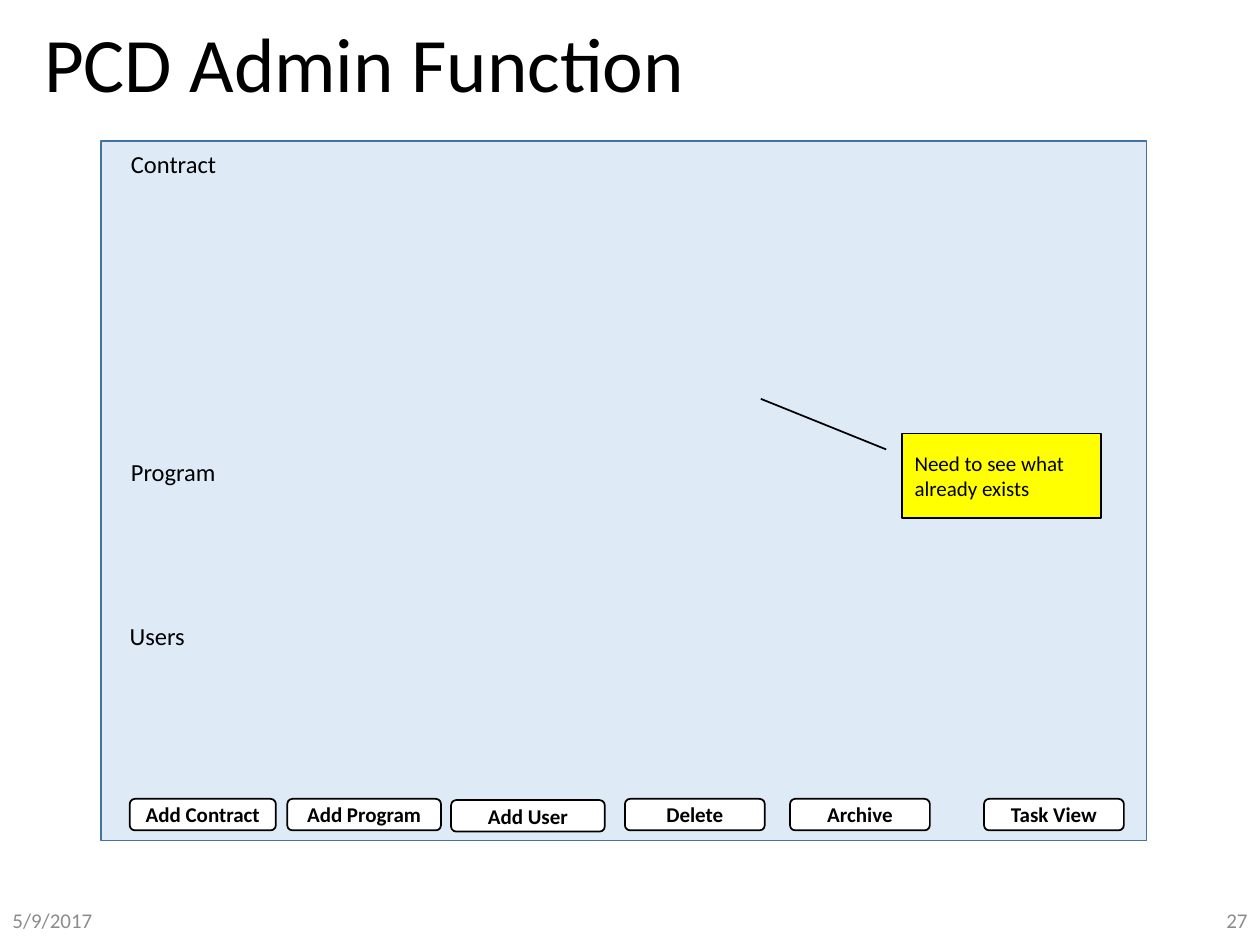
from pptx import Presentation
from pptx.dml.color import RGBColor
from pptx.enum.shapes import MSO_SHAPE as Preset
from pptx.enum.text import MSO_ANCHOR as Anchor, MSO_AUTO_SIZE as AutoSize, PP_ALIGN as Align
from pptx.util import Inches, Pt

BLACK = RGBColor(0x00, 0x00, 0x00)
WHITE = RGBColor(0xFF, 0xFF, 0xFF)
GREY = RGBColor(0x8C, 0x8C, 0x8C)
PALE_BLUE = RGBColor(0xDE, 0xEB, 0xF7)
STEEL_BLUE = RGBColor(0x43, 0x73, 0x9E)
YELLOW = RGBColor(0xFF, 0xFF, 0x00)

COLUMNS, ROWS = 100, 75


class AdminScreen:
    """Style and current slide, measured on a grid of COLUMNS by ROWS."""

    font_name = "Calibri"

    def __init__(self, deck):
        """Add a title-only slide to the deck."""
        self.cell_width = deck.slide_width / COLUMNS
        self.cell_height = deck.slide_height / ROWS
        self.slide = deck.slides.add_slide(deck.slide_layouts[5])

    def place(self, column, row, columns, rows):
        """Turn grid cells into left, top, width and height."""
        return (round(column * self.cell_width), round(row * self.cell_height),
                round(columns * self.cell_width), round(rows * self.cell_height))

    def set_text(self, holder, text, size, color=BLACK, align=Align.LEFT,
                 anchor=Anchor.MIDDLE, bold=False):
        """Put one formatted paragraph into a holder and return it."""
        frame = holder.text_frame
        frame.text = text
        frame.word_wrap = True
        frame.auto_size = AutoSize.NONE
        frame.vertical_anchor = anchor
        paragraph = frame.paragraphs[0]
        paragraph.alignment = align
        font = paragraph.font
        font.name, font.size, font.bold = self.font_name, Pt(size), bold
        font.color.rgb = color
        return paragraph

    def title(self, text, *cells):
        """Move and format the title placeholder."""
        heading = self.slide.shapes.title
        heading.left, heading.top, heading.width, heading.height = self.place(*cells)
        self.set_text(heading, text, 44).line_spacing = 0.9

    def footer(self, text, column, align):
        """Add a grey text in the bottom band."""
        box = self.slide.shapes.add_textbox(*self.place(column, 71, 22.5, 4))
        self.set_text(box, text, 12, GREY, align)

    def panel(self, preset, cells, fill, line=None):
        """Add a flat filled shape, outlined if a line colour is given."""
        shape = self.slide.shapes.add_shape(preset, *self.place(*cells))
        shape.shadow.inherit = False
        shape.fill.solid()
        shape.fill.fore_color.rgb = fill
        if line is None:
            shape.line.fill.background()
        else:
            shape.line.color.rgb = line
            shape.line.width = Pt(1)
        return shape

    def section(self, text, column, row):
        """Add the label of a section."""
        label = self.panel(Preset.RECTANGLE, (column, row, 9.5, 3.4), PALE_BLUE)
        self.set_text(label, text, 14, anchor=Anchor.TOP)

    def button(self, text, column, row, columns):
        """Add a rounded button with a bold caption."""
        button = self.panel(Preset.ROUNDED_RECTANGLE, (column, row, columns, 2.5), WHITE, BLACK)
        self.set_text(button, text, 12, align=Align.CENTER, bold=True)

    def callout(self, text, cells, pointer):
        """Add a yellow note whose pointer is given as shares of its size."""
        note = self.panel(Preset.LINE_CALLOUT_1, cells, YELLOW, BLACK)
        for index, share in enumerate(pointer):
            note.adjustments[index] = share
        self.set_text(note, text, 12)


def build():
    """Build the slide and save it."""
    deck = Presentation()
    deck.slide_width, deck.slide_height = Inches(10), Inches(7.5)
    screen = AdminScreen(deck)

    screen.title("PCD Admin Function", 2.5, 1, 86.2, 8.7)
    screen.footer("5/9/2017", 0, Align.LEFT)
    screen.footer("27", 77.5, Align.RIGHT)
    screen.panel(Preset.RECTANGLE, (8, 11.2, 83, 55.5), PALE_BLUE, STEEL_BLUE)

    for name, column, row in (("Contract", 9.4, 11.3), ("Program", 9.4, 35.8),
                              ("Users", 9.3, 48.8)):
        screen.section(name, column, row)

    for action, column, row, columns in (
            ("Add Contract", 10.3, 63.4, 11.6),
            ("Add Program", 22.8, 63.4, 12.2),
            ("Add User", 35.8, 63.5, 12.2),
            ("Delete", 49.6, 63.4, 11.1),
            ("Archive", 62.7, 63.4, 11.1),
            ("Task View", 78.1, 63.4, 11.1)):
        screen.button(action, column, row, columns)

    screen.callout("Need to see what already exists", (71.6, 34.4, 15.8, 6.7),
                   (0.19, -0.08, -0.41, -0.71))
    deck.save("out.pptx")


build()
